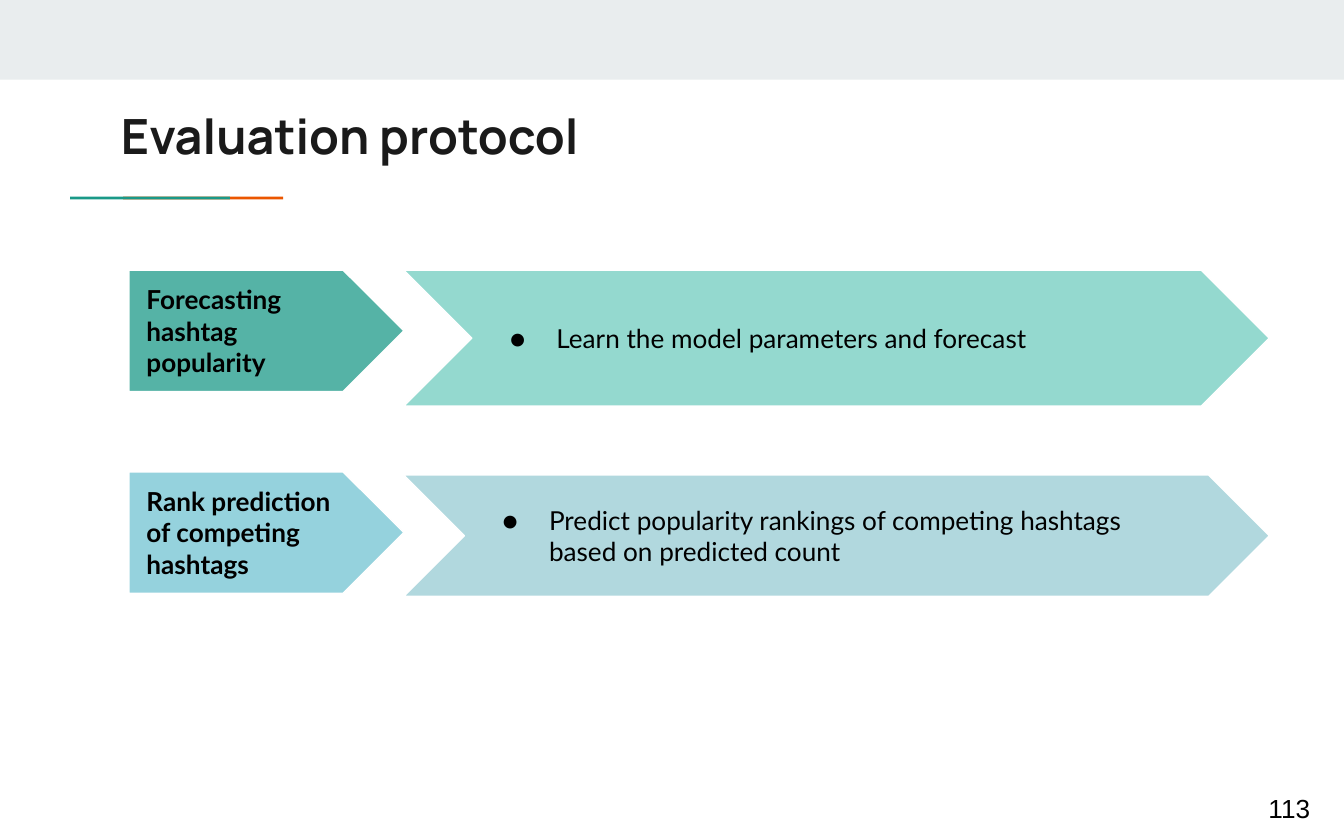
import pptx
import pptx.util
import pptx.dml.color
import pptx.enum.shapes
import pptx.enum.text
import pptx.oxml.ns
import lxml.etree

Pt = pptx.util.Pt
KIND = pptx.enum.shapes.MSO_SHAPE
ANCHOR = pptx.enum.text.MSO_ANCHOR
LEFT = pptx.enum.text.PP_ALIGN.LEFT
qn = pptx.oxml.ns.qn

HUES = {
    "band": "E9EDEE", "orange": "EB5600", "teal": "1A9988", "title": "1A1A1A",
    "text": "000000", "edge": "FFFFFF", "mint": "1DAF9B", "sky": "95D2DD",
    "mist": "B1D8DE",
}


def hue(name):
    return pptx.dml.color.RGBColor.from_string(HUES[name])


def add_block(slide, kind, box, fill, alpha=100):
    """Add a flat shape; alpha is its opacity in percent."""
    shape = slide.shapes.add_shape(kind, *map(Pt, box))
    shape.shadow.inherit = False
    shape.fill.solid()
    shape.fill.fore_color.rgb = hue(fill)
    shape.line.fill.background()
    if alpha < 100:
        tint = shape.fill._xPr.find(".//" + qn("a:srgbClr"))
        lxml.etree.SubElement(tint, qn("a:alpha"), val=str(alpha * 1000))
    return shape


def set_frame(frame, inset, anchor):
    frame.word_wrap = True
    frame.auto_size = pptx.enum.text.MSO_AUTO_SIZE.NONE
    frame.vertical_anchor = anchor
    frame.margin_left = frame.margin_right = Pt(inset)
    frame.margin_top = frame.margin_bottom = Pt(inset)


def add_run(para, text, font, size, color="text", bold=False):
    para.alignment = LEFT
    run = para.add_run()
    run.text = text
    run.font.name = font
    run.font.size = Pt(size)
    run.font.bold = bold
    run.font.color.rgb = hue(color)


def add_dot(para):
    """Give the paragraph a round bullet with a hanging indent."""
    props = para._p.get_or_add_pPr()
    props.set("marL", str(Pt(36)))
    props.set("indent", str(Pt(-25)))
    tint = lxml.etree.SubElement(props, qn("a:buClr"))
    lxml.etree.SubElement(tint, qn("a:srgbClr"), val=HUES["text"])
    lxml.etree.SubElement(props, qn("a:buFont"), typeface="Lato")
    lxml.etree.SubElement(props, qn("a:buChar"), char="●")


def add_arrow(slide, kind, box, fill, alpha, text, dot=False):
    shape = add_block(slide, kind, box, fill, alpha)
    shape.adjustments[0] = 0.5
    shape.line.color.rgb = hue("edge")
    shape.line.width = Pt(0.75)
    set_frame(shape.text_frame, 9.36, ANCHOR.MIDDLE)
    para = shape.text_frame.paragraphs[0]
    if dot:
        add_dot(para)
    add_run(para, text, "Lato", 14, bold=not dot)


def add_title(slide, text):
    title = slide.shapes.title
    title.left, title.top = Pt(57.6), Pt(49.7)
    title.width, title.height = Pt(605.5), Pt(46.8)
    set_frame(title.text_frame, 7.2, ANCHOR.TOP)
    add_run(title.text_frame.paragraphs[0], text, "Manrope", 26, "title", True)


def add_number(slide, text):
    box = slide.shapes.add_textbox(Pt(672.5), Pt(415.4), Pt(43.2), Pt(34.6))
    set_frame(box.text_frame, 7.2, ANCHOR.MIDDLE)
    add_run(box.text_frame.paragraphs[0], text, "Arial", 14)


def main():
    deck = pptx.Presentation()
    deck.slide_width, deck.slide_height = Pt(720), Pt(450)
    slide = deck.slides.add_slide(deck.slide_layouts[5])

    add_block(slide, KIND.RECTANGLE, (0, 0, 720, 42.7), "band")
    for left, fill in ((66, "orange"), (37.5, "teal")):
        add_block(slide, KIND.RECTANGLE, (left, 105.3, 85.7, 1.6), fill)
    add_title(slide, "Evaluation protocol")
    add_number(slide, "113")

    tags = (
        (144.7, "teal", 74, "Forecasting hashtag popularity"),
        (252.8, "sky", 100, "Rank prediction of competing hashtags"),
    )
    for top, fill, alpha, text in tags:
        box = (69.1, top, 147.2, 65)
        add_arrow(slide, KIND.PENTAGON, box, fill, alpha, text)

    steps = (
        (144.7, 72.9, "mint", 47, "Learn the model parameters and forecast"),
        (254.5, 65, "mist", 100, "Predict popularity rankings of competing "
                                 "hashtags based on predicted count"),
    )
    for top, height, fill, alpha, text in steps:
        box = (216.3, top, 463.7, height)
        add_arrow(slide, KIND.CHEVRON, box, fill, alpha, text, dot=True)

    deck.save("out.pptx")


if __name__ == "__main__":
    main()
